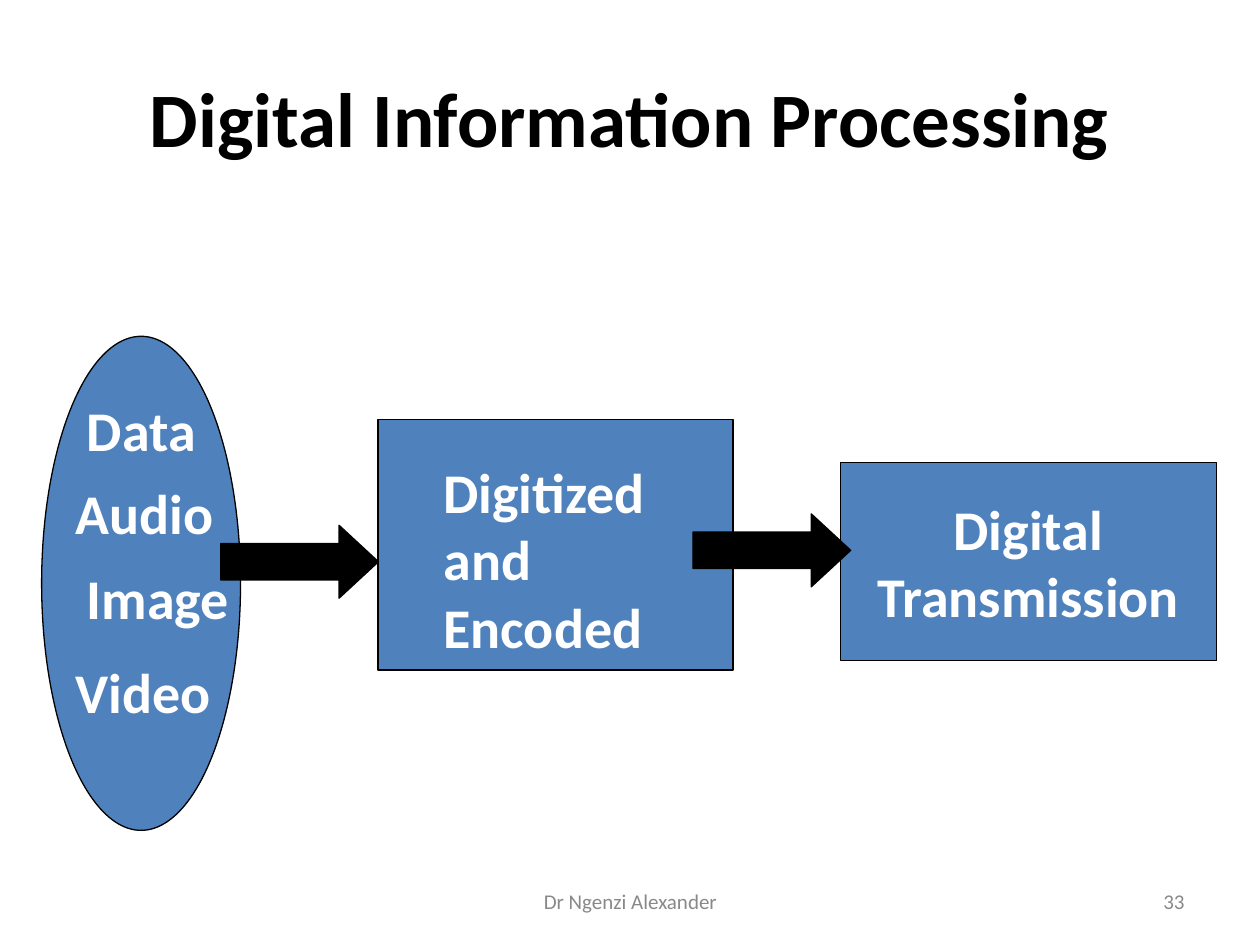
from pptx import Presentation
from pptx.dml.color import RGBColor
from pptx.enum.shapes import MSO_SHAPE
from pptx.enum.text import MSO_ANCHOR, PP_ALIGN
from pptx.util import Cm, Pt

OVAL, RECT, ARROW = MSO_SHAPE.OVAL, MSO_SHAPE.RECTANGLE, MSO_SHAPE.RIGHT_ARROW
TOP, MIDDLE = MSO_ANCHOR.TOP, MSO_ANCHOR.MIDDLE
LEFT, CENTER, RIGHT = PP_ALIGN.LEFT, PP_ALIGN.CENTER, PP_ALIGN.RIGHT
BLUE = RGBColor(0x4F, 0x81, 0xBD)
BLACK = RGBColor(0, 0, 0)
WHITE = RGBColor(255, 255, 255)
GRAY = RGBColor(0x89, 0x89, 0x89)


def write(shape, text, size=32, color=WHITE, bold=True, align=LEFT,
          anchor=TOP, wrap=True):
    """Fill a shape with text, one paragraph per line."""
    frame = shape.text_frame
    frame.word_wrap = wrap
    frame.vertical_anchor = anchor
    frame.text = text
    for para in frame.paragraphs:
        para.alignment = align
        font = para.font
        font.name, font.size, font.bold = "Calibri", Pt(size), bold
        font.color.rgb = color


def add_text(slide, box, text, **form):
    write(slide.shapes.add_textbox(*map(Cm, box)), text, **form)


def add_form(slide, kind, box, color=BLUE):
    shape = slide.shapes.add_shape(kind, *map(Cm, box))
    shape.shadow.inherit = False
    shape.fill.solid()
    shape.fill.fore_color.rgb = color
    shape.line.color.rgb = BLACK
    shape.line.width = Pt(0.75)
    return shape


def add_inputs(slide, box):
    left, top = box[:2]
    add_form(slide, OVAL, box)
    labels = (("Data", 0.66, 1.07), ("Audio", 0.43, 2.74),
              ("Image", 0.66, 4.45), ("Video", 0.43, 6.35))
    for text, dx, dy in labels:
        add_text(slide, (left + dx, top + dy, 4.65, 1.6), text)


def add_coding(slide, box):
    left, top, width, height = box
    add_form(slide, RECT, box)
    add_text(slide, (left + 1.07, top + 0.64, width - 2.31, height - 0.73),
             "Digitized and Encoded")


def add_sending(slide, box):
    write(add_form(slide, RECT, box), "Digital\nTransmission",
          align=CENTER, anchor=MIDDLE, wrap=False)


def add_arrow(slide, left, top):
    arrow = add_form(slide, ARROW, (left, top, 3.18, 1.47), BLACK)
    arrow.adjustments[1] = 0.54


def add_footer(slide, top):
    form = dict(size=12, color=GRAY, bold=False, anchor=MIDDLE)
    add_text(slide, (8.69, top, 8.04, 1.02), "Dr Ngenzi Alexander",
             align=CENTER, **form)
    add_text(slide, (18.21, top, 5.92, 1.02), "33", align=RIGHT, **form)


def main():
    deck = Presentation()
    deck.slide_width, deck.slide_height = Cm(25.4), Cm(19.05)
    slide = deck.slides.add_slide(deck.slide_layouts[6])
    add_text(slide, (1.27, 0.76, 22.86, 3.18), "Digital Information Processing",
             size=44, color=BLACK, align=CENTER, anchor=MIDDLE)
    add_inputs(slide, (0.84, 6.78, 4.01, 9.96))
    add_coding(slide, (7.62, 8.46, 7.16, 5.05))
    add_sending(slide, (16.94, 9.32, 7.59, 3.99))
    add_arrow(slide, 4.45, 10.59)
    add_arrow(slide, 13.97, 10.36)
    add_footer(slide, 17.65)
    deck.save("out.pptx")


if __name__ == "__main__":
    main()
